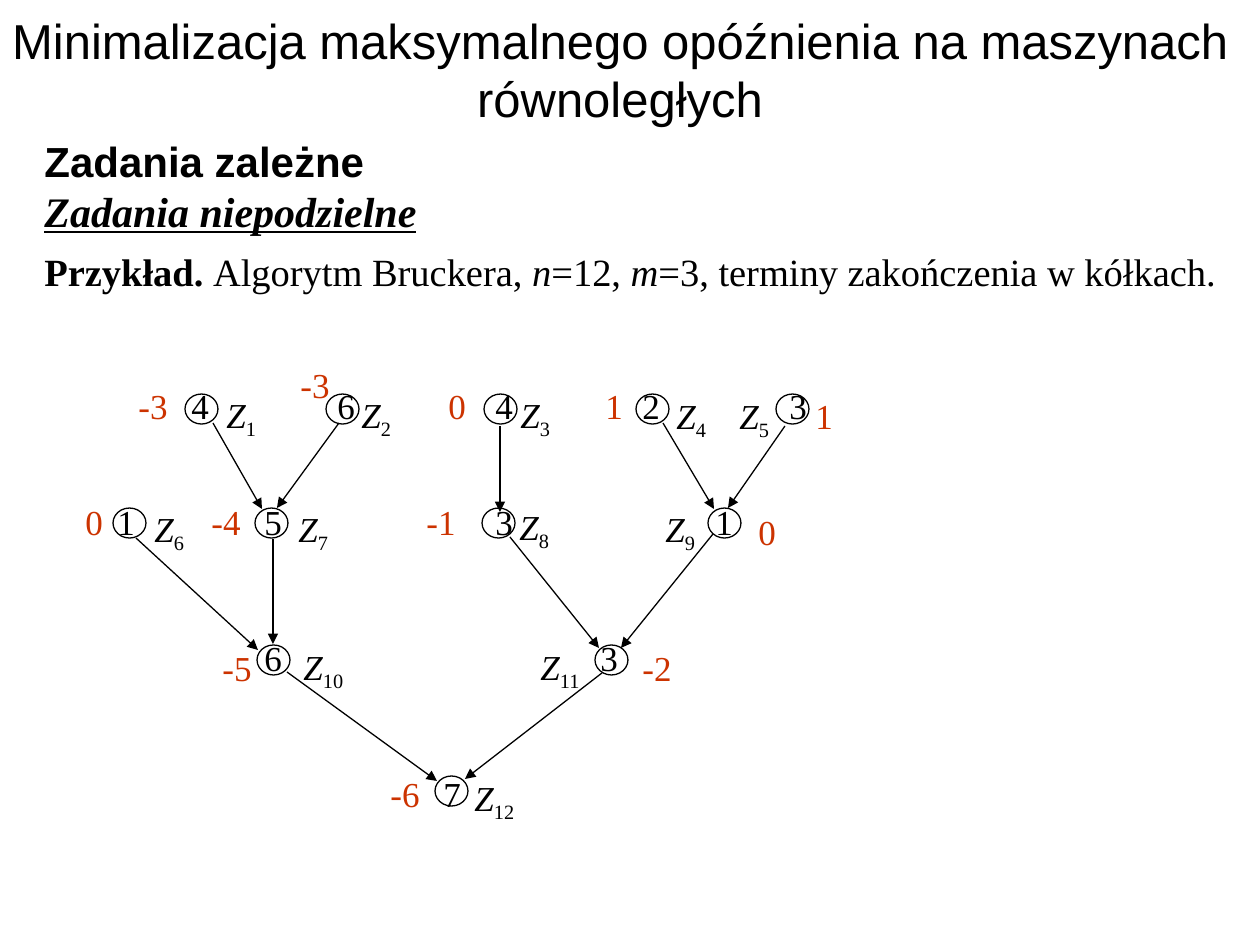
"""Builds a slide with the precedence graph for Brucker's algorithm."""
import lxml.etree
import pptx
import pptx.dml.color
import pptx.enum.shapes
import pptx.enum.text
import pptx.oxml.ns
import pptx.util

BLACK = pptx.dml.color.RGBColor(0x00, 0x00, 0x00)
WHITE = pptx.dml.color.RGBColor(0xFF, 0xFF, 0xFF)
RED = pptx.dml.color.RGBColor(0xCC, 0x33, 0x00)
SANS, SERIF = "Arial", "Times New Roman"
ITALIC = {"italic": True}


class Diagram:
    PX = pptx.util.Inches(1) / 126
    LINE_WIDTH = pptx.util.Pt(0.75)
    CIRCLE = (33, 30)

    def __init__(self, s):
        self.s = s

    def px(self, *lengths):
        return [round(n * self.PX) for n in lengths]

    def style(self, p, size, font, color=BLACK, **flags):
        p.font.size = pptx.util.Pt(size)
        p.font.name = font
        p.font.color.rgb = color
        for name, value in flags.items():
            setattr(p.font, name, value)

    def title(self, box, text):
        sp = self.s.shapes.title
        sp.left, sp.top, sp.width, sp.height = self.px(*box)
        tf = sp.text_frame
        tf.text = text
        tf.auto_size = pptx.enum.text.MSO_AUTO_SIZE.NONE
        tf.vertical_anchor = pptx.enum.text.MSO_ANCHOR.MIDDLE
        p = tf.paragraphs[0]
        p.alignment = pptx.enum.text.PP_ALIGN.CENTER
        self.style(p, 28, SANS)

    def text(self, box, *lines):
        tf = self.s.shapes.add_textbox(*self.px(*box)).text_frame
        tf.word_wrap = True
        for i, (runs, look) in enumerate(lines):
            p = tf.add_paragraph() if i else tf.paragraphs[0]
            self.style(p, **look)
            for text, flags in runs:
                r = p.add_run()
                r.text = text
                for name, value in flags.items():
                    setattr(r.font, name, value)
        return tf

    def number(self, box, value, color=BLACK):
        self.text(box, ([(value, {})], {"size": 20, "font": SERIF, "color": color}))

    def task(self, box, index):
        runs = [("Z", ITALIC), (str(index), {})]
        tf = self.text(box, (runs, {"size": 20, "font": SERIF}))
        r = tf.paragraphs[0].runs[1]
        r._r.get_or_add_rPr().set("baseline", "-25000")

    def circle(self, left, top):
        oval = pptx.enum.shapes.MSO_SHAPE.OVAL
        sp = self.s.shapes.add_shape(oval, *self.px(left, top, *self.CIRCLE))
        sp.shadow.inherit = False
        sp.fill.solid()
        sp.fill.fore_color.rgb = WHITE
        sp.line.color.rgb = BLACK
        sp.line.width = self.LINE_WIDTH

    def arrow(self, *ends):
        straight = pptx.enum.shapes.MSO_CONNECTOR.STRAIGHT
        sp = self.s.shapes.add_connector(straight, *self.px(*ends))
        sp.line.color.rgb = BLACK
        sp.line.width = self.LINE_WIDTH
        qn = pptx.oxml.ns.qn
        spPr = sp._element.spPr
        lxml.etree.SubElement(spPr.find(qn("a:ln")), qn("a:tailEnd"), type="triangle")
        lxml.etree.SubElement(spPr, qn("a:effectLst"))


# Row: circle top, deadline top, then per task:
# circle x, deadline, deadline x, label position, lateness, lateness position
ROWS = [
    (394, 378, [
        (185, "4", 179, (214, 387), "-3", (126, 378)),
        (326, "6", 325, (349, 387), "-3", (288, 357)),
        (484, "4", 483, (508, 387), "0", (436, 378)),
        (636, "2", 630, (664, 388), "1", (593, 378)),
        (776, "3", 777, (727, 388), "1", (803, 388)),
    ]),
    (508, 494, [
        (113, "1", 105, (142, 501), "0", (73, 494)),
        (255, "5", 252, (286, 501), "-4", (199, 494)),
        (482, "3", 483, (507, 499), "-1", (414, 494)),
        (708, "1", 703, (653, 501), "0", (746, 504)),
    ]),
    (645, 630, [
        (257, "6", 252, (291, 639), "-5", (210, 640)),
        (595, "3", 588, (528, 639), "-2", (630, 640)),
    ]),
    (776, 766, [
        (435, "7", 431, (462, 770), "-6", (378, 766)),
    ]),
]
ARROWS = [
    (213, 423, 262, 509), (339, 423, 277, 508), (500, 426, 500, 512),
    (663, 423, 714, 509), (785, 426, 728, 508), (273, 539, 273, 644),
    (136, 538, 258, 650), (713, 534, 621, 648), (287, 672, 437, 781),
    (602, 673, 465, 779), (510, 537, 599, 648),
]


def main():
    prs = pptx.Presentation()
    prs.slide_width = pptx.util.Inches(10)
    prs.slide_height = pptx.util.Inches(7.5)
    d = Diagram(prs.slides.add_slide(prs.slide_layouts[5]))

    d.title((-10, -10, 1260, 158),
            "Minimalizacja maksymalnego opóźnienia na maszynach równoległych")
    d.text((32, 129, 1228, 113),
           ([("Zadania zależne", {})], {"size": 24, "font": SANS, "bold": True}),
           ([("Zadania niepodzielne", {})],
            {"size": 24, "font": SERIF, "bold": True, "italic": True, "underline": True}))
    d.text((32, 242, 1228, 59),
           ([("Przykład. ", {"bold": True}), ("Algorytm Bruckera, ", {}),
             ("n", ITALIC), ("=12, ", {}), ("m", ITALIC),
             ("=3, terminy zakończenia w kółkach.", {})],
            {"size": 22, "font": SERIF}))

    for top, _, tasks in ROWS:
        for left, *_ in tasks:
            d.circle(left, top)
    for ends in ARROWS:
        d.arrow(*ends)
    index = 0
    for _, top, tasks in ROWS:
        for _, deadline, left, label, lateness, place in tasks:
            index += 1
            d.task((*label, 64 if index < 10 else 82, 53), index)
            d.number((left, top, 42, 53), deadline)
            d.number((*place, 93, 52), lateness, RED)

    prs.save("out.pptx")


if __name__ == "__main__":
    main()
